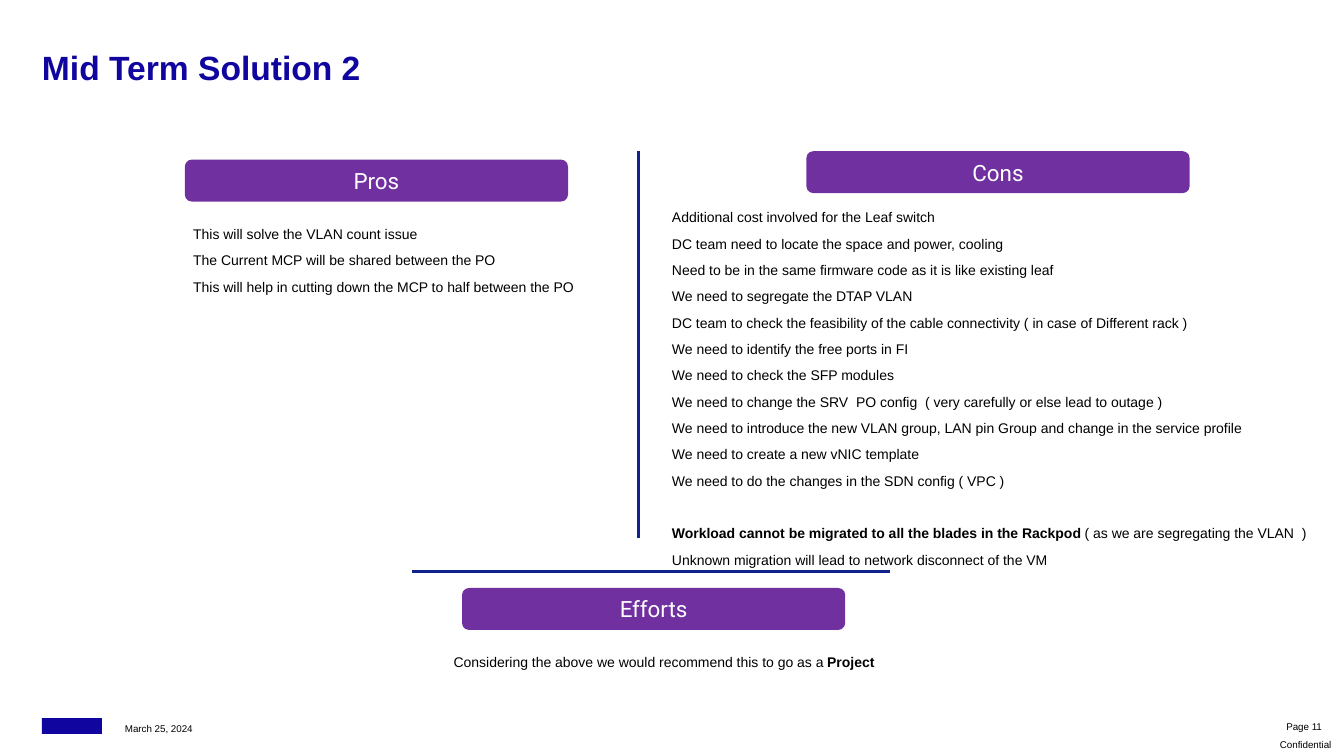
"""Build a slide weighing the pros, cons and efforts of a mid term solution."""
from lxml import etree
from pptx import Presentation
from pptx.dml.color import RGBColor
from pptx.enum.shapes import MSO_CONNECTOR, MSO_SHAPE
from pptx.enum.text import MSO_ANCHOR, PP_ALIGN
from pptx.oxml.ns import qn
from pptx.util import Emu, Pt

ROUNDED, RECTANGLE = MSO_SHAPE.ROUNDED_RECTANGLE, MSO_SHAPE.RECTANGLE
STRAIGHT = MSO_CONNECTOR.STRAIGHT
TOP, MIDDLE, BOTTOM = MSO_ANCHOR.TOP, MSO_ANCHOR.MIDDLE, MSO_ANCHOR.BOTTOM
LEFT, CENTER, RIGHT = PP_ALIGN.LEFT, PP_ALIGN.CENTER, PP_ALIGN.RIGHT

BLACK = RGBColor(0x00, 0x00, 0x00)
WHITE = RGBColor(0xFF, 0xFF, 0xFF)
BRAND_BLUE = RGBColor(0x10, 0x06, 0x9F)
RULE_BLUE = RGBColor(0x0F, 0x23, 0x8D)
PURPLE = RGBColor(0x70, 0x30, 0xA0)

EMU_PER_PX = 9525
LIST_FORMAT = {"size": 10, "spacing": 0.95, "after": 7.4, "wrap": False}
FOOTER_FORMAT = {"size": 7, "spacing": 1.1}

HEADINGS = [("Pros", 176, 152), ("Cons", 768, 144), ("Efforts", 440, 560)]
RULES = [(608, 144, 608, 512), (392, 544, 848, 544)]
PROS = [
    "This will solve the VLAN count issue",
    "The Current MCP will be shared between the PO",
    "This will help in cutting down the MCP to half between the PO",
]
CONS = [
    "Additional cost involved for the Leaf switch",
    "DC team need to locate the space and power, cooling",
    "Need to be in the same firmware code as it is like existing leaf",
    "We need to segregate the DTAP VLAN",
    "DC team to check the feasibility of the cable connectivity ( in case of Different rack )",
    "We need to identify the free ports in FI",
    "We need to check the SFP modules",
    "We need to change the SRV  PO config  ( very carefully or else lead to outage )",
    "We need to introduce the new VLAN group, LAN pin Group and change in the service profile",
    "We need to create a new vNIC template",
    "We need to do the changes in the SDN config ( VPC )",
    "*Workload cannot be migrated to all the blades in the Rackpod *"
    "( as we are segregating the VLAN  )",
    "Unknown migration will lead to network disconnect of the VM",
]
EFFORTS = ["Considering the above we would recommend this to go as a *Project*"]


def px(length):
    """Turn whole pixels into EMU."""
    return Emu(length * EMU_PER_PX)


def write_text(frame, lines, *, size, font="Arial", color=BLACK, bold=False, align=LEFT,
               anchor=TOP, spacing=1.0, after=0, wrap=True, insets=(0, 0, 0, 0)):
    """Fill a text frame with paragraphs, setting words between asterisks in bold."""
    frame.word_wrap = wrap
    frame.vertical_anchor = anchor
    (frame.margin_left, frame.margin_top,
     frame.margin_right, frame.margin_bottom) = map(px, insets)
    for number, line in enumerate(lines):
        para = frame.add_paragraph() if number else frame.paragraphs[0]
        para.alignment = align
        para.line_spacing = spacing
        para.space_after = Pt(after)
        for position, words in enumerate(line.split("*")):
            if words:
                span = para.add_run()
                span.text = words
                span.font.name = font
                span.font.size = Pt(size)
                span.font.bold = bold or position % 2 == 1
                span.font.color.rgb = color


def add_text(page, place, lines, **text_format):
    """Add a text box and return its paragraphs."""
    box = page.shapes.add_textbox(*map(px, place))
    write_text(box.text_frame, lines, **text_format)
    return box.text_frame.paragraphs


def add_block(page, kind, place, color):
    """Add a plain filled shape without outline or shadow."""
    block = page.shapes.add_shape(kind, *map(px, place))
    block.shadow.inherit = False
    block.fill.solid()
    block.fill.fore_color.rgb = color
    block.line.fill.background()
    return block


def add_heading(page, label, left, top):
    """Add a purple rounded heading."""
    heading = add_block(page, ROUNDED, (left, top, 365, 40), PURPLE)
    write_text(heading.text_frame, [label], size=16, font="Roboto", color=WHITE,
               align=CENTER, anchor=MIDDLE)


def add_rule(page, ends):
    """Add a blue dividing line."""
    rule = page.shapes.add_connector(STRAIGHT, *map(px, ends))
    rule.line.color.rgb = RULE_BLUE
    rule.line.width = Pt(2.25)
    etree.SubElement(rule.element.spPr, qn("a:effectLst"))


def add_footer(page):
    """Add the logo block, date, page number and classification."""
    add_block(page, RECTANGLE, (40, 684, 57, 15), BRAND_BLUE)
    add_text(page, (119, 684, 113, 15), ["March 25, 2024"], anchor=BOTTOM, **FOOTER_FORMAT)
    add_text(page, (1200, 684, 69, 15), ["Page 11"], align=RIGHT, anchor=MIDDLE,
             insets=(10, 0, 10, 0), **FOOTER_FORMAT)
    add_text(page, (1207, 699, 73, 21), ["Confidential"], size=7, spacing=0.95,
             align=RIGHT, anchor=MIDDLE, insets=(0, 0, 12, 0))


def main():
    """Build and save the deck."""
    deck = Presentation()
    deck.slide_width, deck.slide_height = px(1280), px(720)
    page = deck.slides.add_slide(deck.slide_layouts[6])
    add_footer(page)
    add_text(page, (40, 45, 1140, 39), ["Mid Term Solution 2"], size=24, bold=True,
             color=BRAND_BLUE, after=7.4)
    add_text(page, (184, 216, 369, 89), PROS, **LIST_FORMAT)
    for ends in RULES:
        add_rule(page, ends)
    for heading in HEADINGS:
        add_heading(page, *heading)
    cons = add_text(page, (640, 200, 605, 337), CONS, **LIST_FORMAT)
    cons[-2].space_before = Pt(18.8)
    add_text(page, (432, 624, 404, 15), EFFORTS, **LIST_FORMAT)
    deck.save("out.pptx")


if __name__ == "__main__":
    main()
